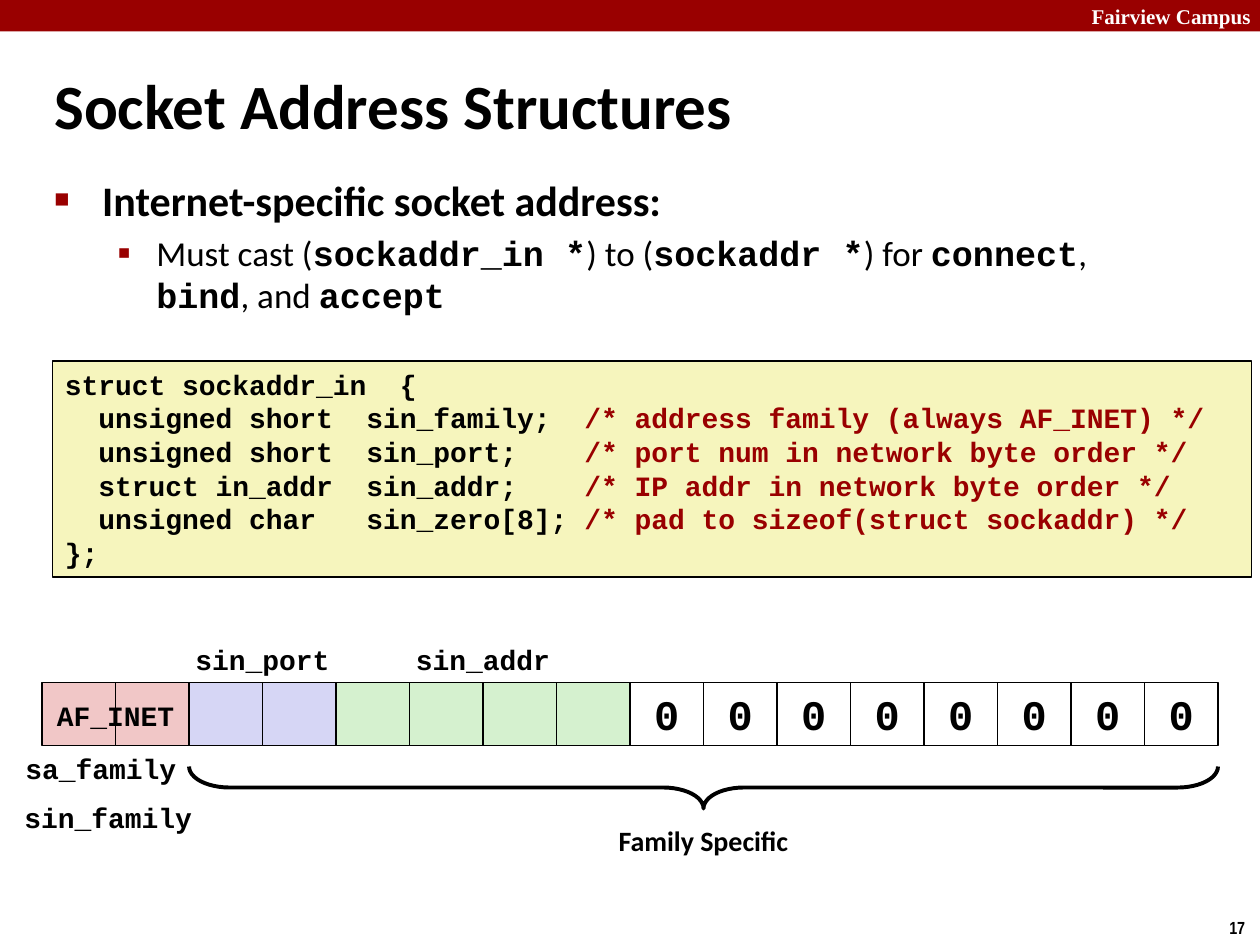
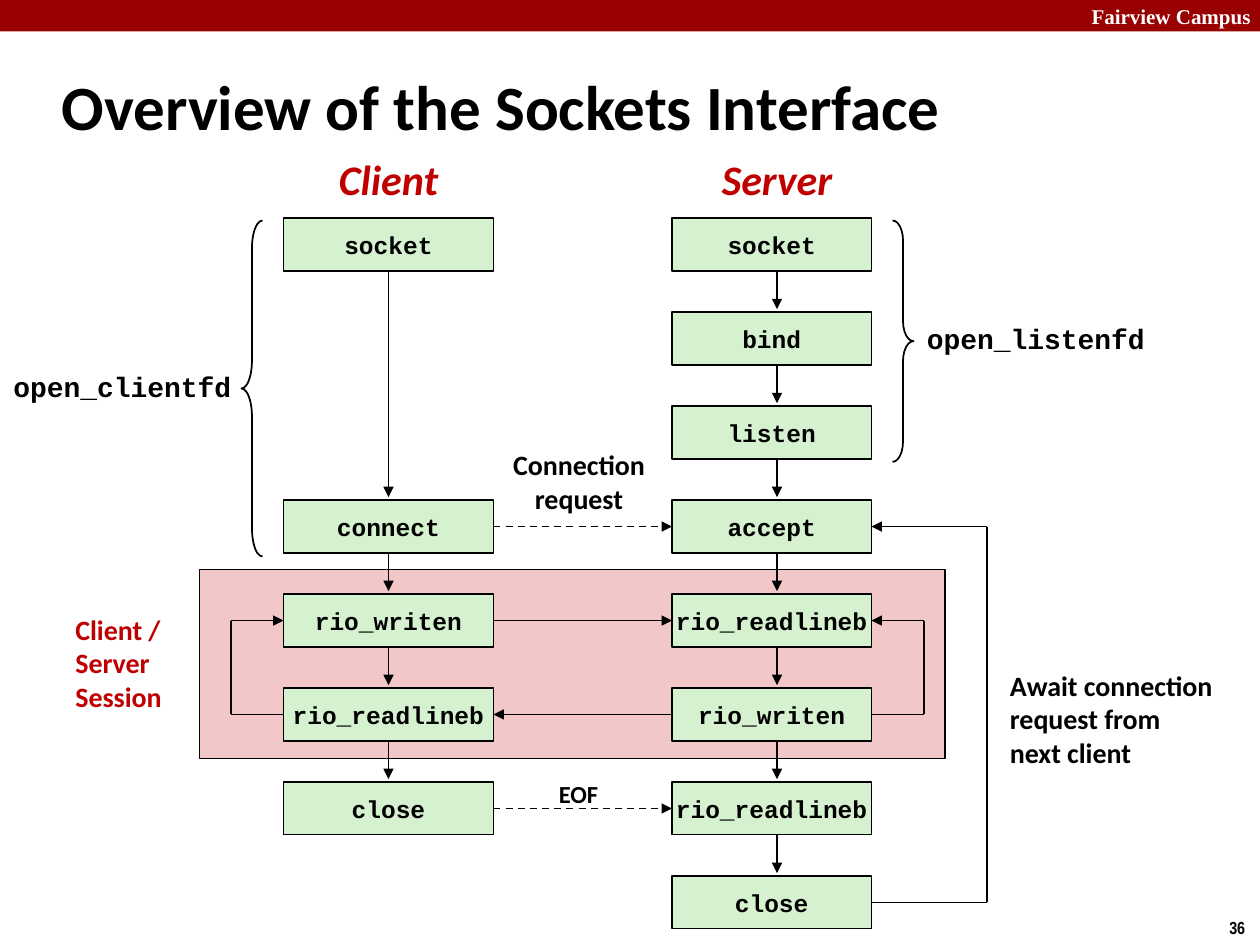
"""Two lecture slides on socket addresses and the sockets interface."""
from dataclasses import dataclass

from lxml import etree
from pptx import Presentation
from pptx.dml.color import RGBColor
from pptx.enum.dml import MSO_LINE
from pptx.enum.shapes import MSO_CONNECTOR, MSO_SHAPE
from pptx.enum.text import MSO_ANCHOR, PP_ALIGN
from pptx.oxml.ns import qn
from pptx.util import Inches, Pt

RECTANGLE, LEFT_BRACE, RIGHT_BRACE = (
    MSO_SHAPE.RECTANGLE, MSO_SHAPE.LEFT_BRACE, MSO_SHAPE.RIGHT_BRACE)
STRAIGHT, DASH = MSO_CONNECTOR.STRAIGHT, MSO_LINE.DASH
LEFT, CENTER, RIGHT = PP_ALIGN.LEFT, PP_ALIGN.CENTER, PP_ALIGN.RIGHT
TOP, MIDDLE = MSO_ANCHOR.TOP, MSO_ANCHOR.MIDDLE

# The slide is a grid of 120 columns and 90 rows.
COLUMNS, ROWS = 120, 90
CELL = Inches(10) / COLUMNS

BLACK, WHITE = "000000", "FFFFFF"
CRIMSON, RED = "990000", "C00000"
PINK, LILAC, GREEN, CREAM = "F1C7C7", "D6D6F5", "D5F1CF", "F6F5BD"
SANS, MONO, SERIF, NARROW = "Calibri", "Courier New", "Times New Roman", "Arial Narrow"


@dataclass
class Box:
    """A region in grid units."""
    left: float
    top: float
    width: float
    height: float

    def inside(self, column, row, width, height):
        """Return a box placed from this box's top left corner."""
        return Box(self.left + column, self.top + row, width, height)

    def lengths(self):
        """Return left, top, width and height as slide lengths."""
        return [round(n * CELL) for n in (self.left, self.top, self.width, self.height)]


def around(x, y, width, height=4.4):
    """Return a box centred on a point."""
    return Box(x - width / 2, y - height / 2, width, height)


def rgb(color):
    """Turn a hex string into a colour."""
    return RGBColor.from_string(color)


def style_font(font, name=None, size=None, color=None, bold=None, italic=None):
    """Set the given font properties only."""
    if name:
        font.name = name
    if size:
        font.size = Pt(size)
    if color:
        font.color.rgb = rgb(color)
    if bold is not None:
        font.bold = bold
    if italic is not None:
        font.italic = italic


def fill_para(para, line, name=SANS, size=16, color=BLACK, bold=True, italic=None):
    """Write a line: a string, or (text, font overrides) pairs."""
    style_font(para.font, name, size, color, bold, italic)
    for text, override in [(line, {})] if isinstance(line, str) else line:
        span = para.add_run()
        span.text = text
        style_font(span.font, **override)


def write(shape, lines, align=CENTER, anchor=MIDDLE, wrap=False, **font):
    """Fill a shape with one paragraph for each line."""
    frame = shape.text_frame
    frame.word_wrap = wrap
    frame.vertical_anchor = anchor
    for index, line in enumerate(lines):
        para = frame.paragraphs[0] if index == 0 else frame.add_paragraph()
        para.alignment = align
        fill_para(para, line, **font)


def add_text(page, box, *lines, **style):
    """Add a text box."""
    write(page.shapes.add_textbox(*box.lengths()), lines, **style)


def add_panel(page, box, fill, line=BLACK):
    """Add a filled rectangle with a thin outline, or none."""
    shape = page.shapes.add_shape(RECTANGLE, *box.lengths())
    shape.shadow.inherit = False
    shape.fill.solid()
    shape.fill.fore_color.rgb = rgb(fill)
    if line:
        shape.line.color.rgb = rgb(line)
        shape.line.width = Pt(1)
    else:
        shape.line.fill.background()
    return shape


def add_brace(page, box, kind, curve, weight=1, rotation=0):
    """Add an open brace."""
    shape = page.shapes.add_shape(kind, *box.lengths())
    shape.shadow.inherit = False
    shape.fill.background()
    shape.line.color.rgb = rgb(BLACK)
    shape.line.width = Pt(weight)
    shape.adjustments[0] = curve
    shape.rotation = rotation


def add_line(page, x1, y1, x2, y2, arrow=True, dashed=False):
    """Add a straight line, with an arrowhead at its end if wanted."""
    line = page.shapes.add_connector(
        STRAIGHT, *[round(n * CELL) for n in (x1, y1, x2, y2)])
    line.line.color.rgb = rgb(BLACK)
    line.line.width = Pt(1)
    if dashed:
        line.line.dash_style = DASH
    if arrow:
        etree.SubElement(line.line._get_or_add_ln(), qn("a:tailEnd"), type="triangle")
    etree.SubElement(line._element.spPr, qn("a:effectLst"))


def add_loop(page, edge, turn, start, end):
    """Run a line out from an edge, along, and back with an arrowhead."""
    add_line(page, edge, start, turn, start, arrow=False)
    add_line(page, turn, start, turn, end, arrow=False)
    add_line(page, turn, end, edge, end)


def set_bullet(para, char, percent, margin, hang):
    """Give a paragraph a crimson hanging bullet."""
    props = para._p.get_or_add_pPr()
    props.set("marL", str(Inches(margin)))
    props.set("indent", str(-Inches(hang)))
    color = etree.SubElement(props, qn("a:buClr"))
    etree.SubElement(color, qn("a:srgbClr"), val=CRIMSON)
    etree.SubElement(props, qn("a:buSzPct"), val=str(percent * 1000))
    etree.SubElement(props, qn("a:buFont"), typeface=SERIF)
    etree.SubElement(props, qn("a:buChar"), char=char)


def add_page(deck, title, title_box, number):
    """Add a slide with the band, title and page number."""
    page = deck.slides.add_slide(deck.slide_layouts[6])
    add_panel(page, Box(0, 0, COLUMNS, 3), CRIMSON, line=None)
    add_text(page, Box(100.3, -0.3, 20, 3.6), "Fairview Campus", align=RIGHT,
             wrap=True, name=SERIF, size=12, color=WHITE)
    add_text(page, Box(115.9, 86.7, 4.1, 3.2), number, align=LEFT, name=NARROW, size=10)
    add_text(page, title_box, title, align=LEFT, wrap=True, size=36)
    return page


def add_bullets(page, box):
    """Place the bulleted heading and its detail."""
    frame = page.shapes.add_textbox(*box.lengths()).text_frame
    frame.word_wrap = True
    heading, detail = frame.paragraphs[0], frame.add_paragraph()
    heading.space_before, detail.space_before = Pt(4.8), Pt(4)
    set_bullet(heading, "\u25a0", 60, 0.38, 0.38)
    set_bullet(detail, "\u25aa", 110, 0.81, 0.31)
    detail.level = 1
    code = {"name": MONO, "bold": True}
    fill_para(heading, "Internet-specific socket address:", size=24)
    fill_para(detail, [
        ("Must cast (", {}), ("sockaddr_in *", code), (") to (", {}),
        ("sockaddr *", code), (") for ", {}), ("connect", code), (", ", {}),
        ("bind", code), (", and ", {}), ("accept", code)], size=20, bold=False)


def add_struct(page, box):
    """Place the structure's code with its comments in crimson."""
    members = [
        ("unsigned short  sin_family;", "address family (always AF_INET)"),
        ("unsigned short  sin_port;", "port num in network byte order"),
        ("struct in_addr  sin_addr;", "IP addr in network byte order"),
        ("unsigned char   sin_zero[8];", "pad to sizeof(struct sockaddr)")]
    lines = [[(f"  {code:<29}", {}), (f"/* {note} */", {"color": CRIMSON})]
             for code, note in members]
    write(add_panel(page, box, CREAM), ["struct sockaddr_in  {", *lines, "};"],
          align=LEFT, anchor=TOP, name=MONO)


def add_byte_map(page, box):
    """Place the sixteen bytes of the address with their labels."""
    fields = [PINK] * 2 + [LILAC] * 2 + [GREEN] * 4 + [WHITE] * 8
    step = box.width / len(fields)
    for index, fill in enumerate(fields):
        cell = add_panel(page, box.inside(index * step, 0, step, box.height), fill)
        if fill == WHITE:
            write(cell, ["0"], name=MONO, size=24)
    labels = [  # byte at the label's middle, row, text, width
        (1, 3.1, "AF_INET", 13.8), (3, -2.2, "sin_port", 15.4),
        (6, -2.2, "sin_addr", 15.4), (0.8, 8.2, "sa_family", 16.8),
        (0.9, 12.8, "sin_family", 18.6)]
    for byte, row, text, width in labels:
        add_text(page, around(box.left + byte * step, box.top + row, width),
                 text, name=MONO)
    middle = box.left + 9 * step
    add_brace(page, around(middle, box.top + 10, 4, 14 * step),
              RIGHT_BRACE, 0.96, 2.25, 90)
    add_text(page, around(middle, box.top + 15, 18.8), "Family Specific")


def add_flow(page, box):
    """Place the calls of client and server, row by row, and their links."""
    calls_left = {0: "socket", 3: "connect", 4: "rio_writen", 5: "rio_readlineb",
                  6: "close"}
    calls_right = dict(enumerate(["socket", "bind", "listen", "accept", "rio_readlineb",
                                  "rio_writen", "rio_readlineb", "close"]))
    height, client_width, server_width = 5, 20, 19
    pitch = (box.height - height) / 7
    client_edge = box.left + client_width
    right = box.left + box.width
    server_left = right - server_width
    tops = [box.top + pitch * row for row in range(8)]
    middles = [top + height / 2 for top in tops]

    add_panel(page, box.inside(-8, 33.45, 71, 18), PINK)
    add_loop(page, right, right + 5, middles[5], middles[4])
    add_loop(page, box.left, box.left - 5, middles[5], middles[4])
    add_loop(page, right, right + 11, middles[7], middles[3])
    for row, start, end, dashed in [
            (3, client_edge, server_left, True), (4, client_edge, server_left, False),
            (5, server_left, client_edge, False), (6, client_edge, server_left, True)]:
        add_line(page, start, middles[row], end, middles[row], dashed=dashed)

    for heading, calls, left, width, axis in [
            ("Client", calls_left, box.left, client_width, box.left + 10),
            ("Server", calls_right, server_left, server_width, server_left + 10)]:
        rows = list(calls)
        for row, following in zip(rows, rows[1:]):
            add_line(page, axis, tops[row] + height, axis, tops[following] - 0.3)
        for row, call in calls.items():
            panel = add_panel(page, Box(left, tops[row], width, height), GREEN)
            write(panel, [call], name=MONO, size=14)
        add_text(page, around(axis, box.top - 3.8, 15, 6), heading,
                 size=24, color=RED, italic=True)


def add_flow_notes(page, box):
    """Place the braces and remarks around the flow."""
    add_brace(page, box.inside(58, 0.2, 2, 23), RIGHT_BRACE, 0.96)
    add_brace(page, box.inside(-4, 0.2, 2, 32), LEFT_BRACE, 1.33)
    add_text(page, box.inside(60, 9.2, 23.3, 4.4), "open_listenfd", name=MONO)
    add_text(page, box.inside(-27, 13.8, 23.3, 4.4), "open_clientfd", name=MONO)
    add_text(page, box.inside(20.6, 21.2, 15.1, 7.7), "Connection", "request")
    add_text(page, box.inside(25, 52.7, 6.2, 4.1), "EOF", size=14)
    add_text(page, box.inside(-21, 36.9, 11, 10.8), "Client / Server", "Session",
             align=LEFT, wrap=True, color=RED)
    add_text(page, box.inside(68, 42.2, 22, 10.9), "Await connection",
             "request from", "next client", align=LEFT, wrap=True)


def main():
    """Build and save the deck."""
    deck = Presentation()
    deck.slide_width, deck.slide_height = round(COLUMNS * CELL), round(ROWS * CELL)

    page = add_page(deck, "Socket Address Structures", Box(4, 4.8, 114.4, 10.2), "17")
    add_bullets(page, Box(4, 16, 109, 22))
    add_byte_map(page, Box(4, 65, 112, 6))
    add_struct(page, Box(5, 34.4, 114.2, 20.6))

    page = add_page(deck, "Overview of the Sockets Interface",
                    Box(4.7, 5, 99.6, 10), "36")
    flow = Box(27, 20.8, 56, 67.65)
    add_flow(page, flow)
    add_flow_notes(page, flow)
    deck.save("out.pptx")


main()
